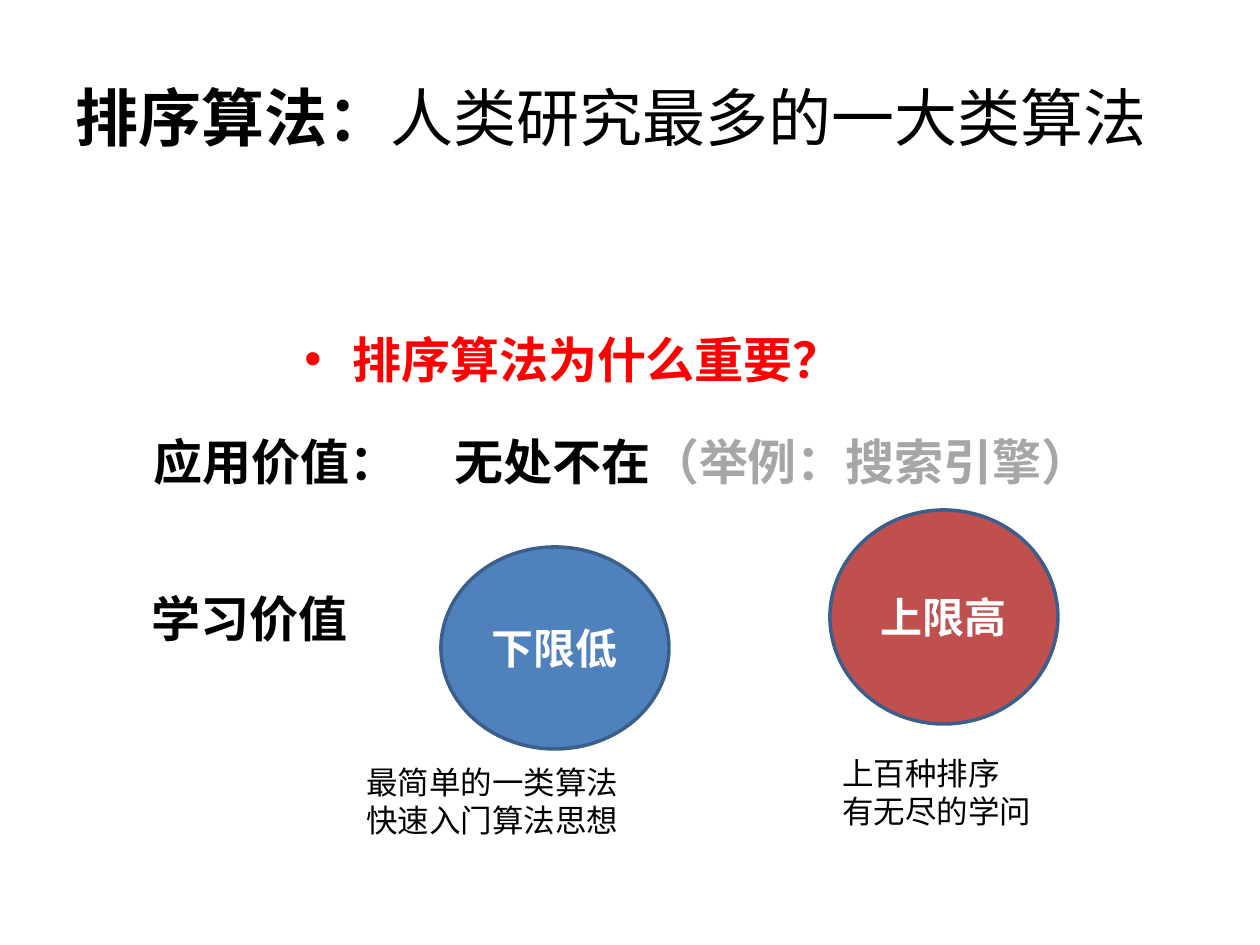
from lxml.etree import SubElement
from pptx import Presentation
from pptx.dml.color import RGBColor
from pptx.enum.shapes import MSO_SHAPE as Shape
from pptx.enum.text import MSO_ANCHOR as Anchor, PP_ALIGN as Align
from pptx.oxml.ns import qn
from pptx.util import Pt

PX = 914400 // 126
CJK, LATIN = "Noto Sans CJK SC", "Calibri"
BLACK, WHITE, RED, GRAY = "000000", "FFFFFF", "FF0000", "A6A6A6"
OUTLINE = "3A5F8C"

# Content: boxes are left, top, width, height in px; runs are text, colour, bold
TITLE = ((63, 38, 1134, 157), [("排序算法：", BLACK, True),
                               ("人类研究最多的一大类算法", BLACK, False)])
QUESTION = ((292, 323, 674, 421), [("排序算法为什么重要？", RED, True)])
VALUES = [
    ((141, 425, 1019, 72), [("应用价值：\t无处不在", BLACK, True),
                            ("（举例：搜索引擎）", GRAY, True)]),
    ((139, 582, 253, 72), [("学习价值", BLACK, True)]),
]
CIRCLES = [
    ((441, 547, 228, 202), "下限低", "4F81BD"),
    ((830, 510, 228, 214), "上限高", "C0504D"),
]
CAPTIONS = [
    ((354, 757, 280, 89), "最简单的一类算法\v快速入门算法思想"),
    ((830, 748, 217, 89), "上百种排序\v有无尽的学问"),
]
BULLET_INDENT, VALUE_TAB = 48, 301


def color(value):
    return RGBColor.from_string(value)


def emu(box):
    return [length * PX for length in box]


def write(paragraph, runs, size, font=CJK):
    for text, text_color, bold in runs:
        for index, line in enumerate(text.split("\v")):
            if index:
                paragraph.add_line_break()
            run = paragraph.add_run()
            run.text = line
            run.font.size = Pt(size)
            run.font.bold = bold
            run.font.name = font
            run.font.color.rgb = color(text_color)
            SubElement(run._r.get_or_add_rPr(), qn("a:ea"), typeface=CJK)


def add_text(slide, box, runs, size, font=CJK, wrap=False):
    frame = slide.shapes.add_textbox(*emu(box)).text_frame
    frame.word_wrap = wrap
    write(frame.paragraphs[0], runs, size, font)
    return frame


def add_circle(slide, box, label, fill):
    circle = slide.shapes.add_shape(Shape.OVAL, *emu(box))
    circle.shadow.inherit = False
    circle.fill.solid()
    circle.fill.fore_color.rgb = color(fill)
    circle.line.color.rgb = color(OUTLINE)
    circle.line.width = Pt(2)
    frame = circle.text_frame
    frame.vertical_anchor = Anchor.MIDDLE
    paragraph = frame.paragraphs[0]
    paragraph.alignment = Align.CENTER
    write(paragraph, [(label, WHITE, True)], 24)


def add_bullet(paragraph):
    properties = paragraph._p.get_or_add_pPr()
    properties.set("marL", str(BULLET_INDENT * PX))
    properties.set("indent", str(-BULLET_INDENT * PX))
    SubElement(properties, qn("a:buFont"), typeface="Arial")
    SubElement(properties, qn("a:buChar"), char="•")


def add_tab_stop(paragraph, position):
    tabs = SubElement(paragraph._p.get_or_add_pPr(), qn("a:tabLst"))
    SubElement(tabs, qn("a:tab"), pos=str(position * PX), algn="l")


def main():
    presentation = Presentation()
    presentation.slide_width = 1260 * PX
    presentation.slide_height = 945 * PX
    slide = presentation.slides.add_slide(presentation.slide_layouts[6])

    # Title and key question
    title = add_text(slide, *TITLE, 36, wrap=True)
    title.vertical_anchor = Anchor.MIDDLE
    question = add_text(slide, *QUESTION, 28, wrap=True)
    add_bullet(question.paragraphs[0])

    # The two kinds of value
    for box, runs in VALUES:
        value = add_text(slide, box, runs, 28)
        add_tab_stop(value.paragraphs[0], VALUE_TAB)

    # Circles with their captions
    for box, label, fill in CIRCLES:
        add_circle(slide, box, label, fill)
    for box, text in CAPTIONS:
        add_text(slide, box, [(text, BLACK, False)], 18, LATIN)

    presentation.save("out.pptx")


if __name__ == "__main__":
    main()
